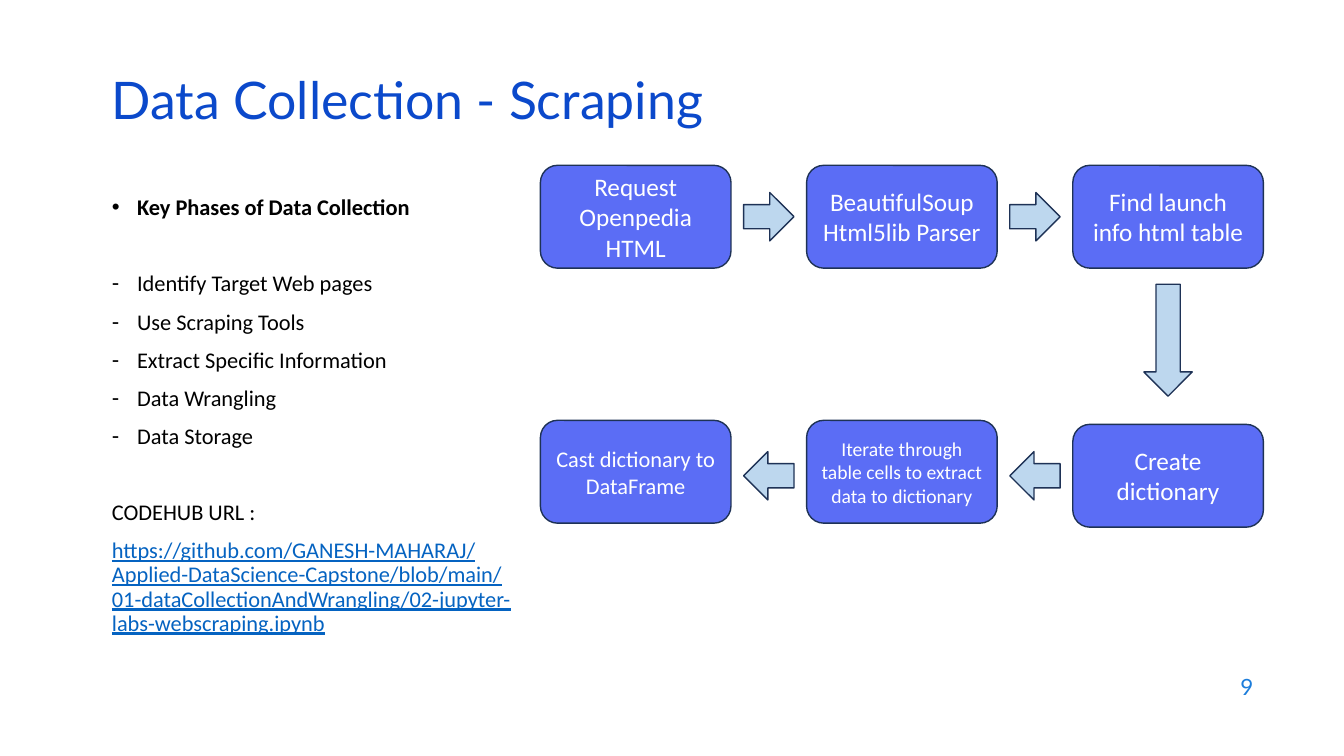
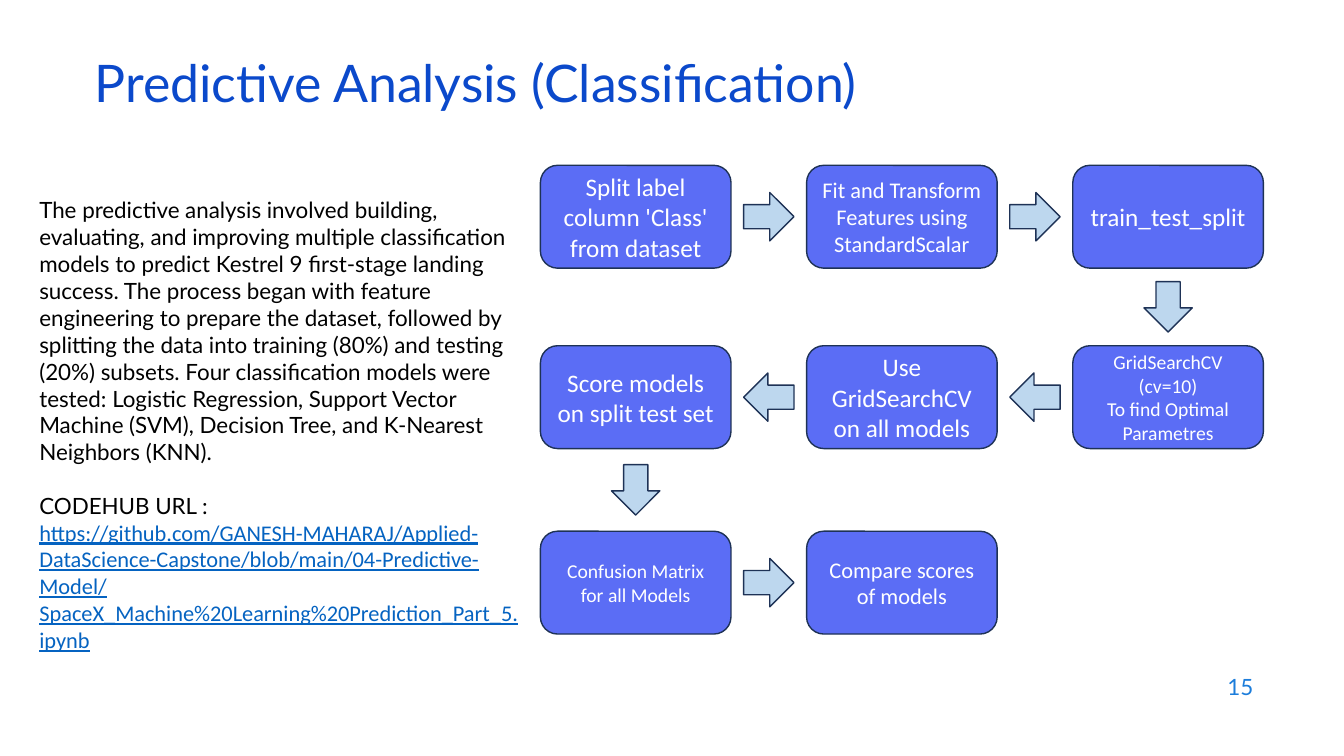
from dataclasses import dataclass

from lxml import etree
from pptx import Presentation
from pptx.dml.color import RGBColor
from pptx.enum.shapes import MSO_SHAPE
from pptx.enum.text import MSO_ANCHOR, MSO_AUTO_SIZE, PP_ALIGN
from pptx.oxml.ns import qn
from pptx.util import Inches, Pt

BOX, ARROW = MSO_SHAPE.ROUNDED_RECTANGLE, MSO_SHAPE.RIGHT_ARROW
MIDDLE, FIXED = MSO_ANCHOR.MIDDLE, MSO_AUTO_SIZE.NONE
LEFT, CENTER, RIGHT = PP_ALIGN.LEFT, PP_ALIGN.CENTER, PP_ALIGN.RIGHT

# Shared look
COLORS = {
    "title": "0B49CB", "number": "1C7DDB", "text": "000000", "link": "0563C1",
    "box": "5B6DF5", "arrow": "BDD7EE", "edge": "1E3256", "white": "FFFFFF",
}
HEAD, BODY = "Lato", "Calibri"

# Flow grid, in inches
GRID_X, PITCH = 5.36, 2.64
BOX_W, BOX_H = 1.89, 1.02
ARROW_W, ARROW_H = 0.5, 0.48
INDENT = 0.25
EAST, SOUTH, WEST = 0, 90, 180


@dataclass
class Item:
    text: str
    before: float = 0
    bullet: str = ""
    bold: bool = False
    link: bool = False
    face: str = BODY


@dataclass
class Step:
    col: int
    row: int
    text: str
    size: int = 18
    drop: float = 0


@dataclass
class Arrow:
    col: int
    row: int
    turn: int = EAST
    length: float = ARROW_W
    drop: float = 0


@dataclass
class Page:
    number: int
    title: str
    title_at: tuple[float, float]
    body_at: tuple[float, float, float, float]
    spacing: float
    items: list[Item]
    rows: list[float]
    steps: list[Step]
    arrows: list[Arrow]


PAGES = [
    Page(
        9, "Data Collection - Scraping", (1.01, 0.76), (1.01, 1.9, 4.3, 4.62), 0.9,
        [
            Item("Key Phases of Data Collection", bullet="•", bold=True),
            Item("Identify Target Web pages", 37, "-"),
            Item("Use Scraping Tools", 10, "-"),
            Item("Extract Specific Information", 10, "-"),
            Item("Data Wrangling", 10, "-"),
            Item("Data Storage", 10, "-"),
            Item("CODEHUB URL :", 37),
            Item("https://github.com/GANESH-MAHARAJ/Applied-DataScience-Capstone/blob/main/"
                 "01-dataCollectionAndWrangling/02-jupyter-labs-webscraping.ipynb",
                 10, link=True),
        ],
        [1.64, 4.17],
        [
            Step(0, 0, "Request Openpedia HTML"),
            Step(1, 0, "BeautifulSoup\nHtml5lib Parser"),
            Step(2, 0, "Find launch info html table"),
            Step(2, 1, "Create dictionary", drop=0.04),
            Step(1, 1, "Iterate through table cells to extract data to dictionary", 14),
            Step(0, 1, "Cast dictionary to DataFrame", 16),
        ],
        [
            Arrow(0, 0), Arrow(1, 0),
            Arrow(2, 0, SOUTH, 1.11, -0.04),
            Arrow(1, 1, WEST, drop=0.04), Arrow(0, 1, WEST, drop=0.04),
        ],
    ),
    Page(
        15, "Predictive Analysis (Classification)", (0.84, 0.59), (0.29, 1.9, 4.96, 4.9), 1.0,
        [
            Item("The predictive analysis involved building, evaluating, and improving "
                 "multiple classification models to predict Kestrel 9 first-stage landing "
                 "success. The process began with feature engineering to prepare the "
                 "dataset, followed by splitting the data into training (80%) and testing "
                 "(20%) subsets. Four classification models were tested: Logistic "
                 "Regression, Support Vector Machine (SVM), Decision Tree, and K-Nearest "
                 "Neighbors (KNN).", face=HEAD),
            Item("CODEHUB URL :", 19, face=HEAD),
            Item("https://github.com/GANESH-MAHARAJ/Applied-DataScience-Capstone/blob/main/"
                 "04-Predictive-Model/SpaceX_Machine%20Learning%20Prediction_Part_5.ipynb",
                 link=True),
        ],
        [1.64, 3.43, 5.27],
        [
            Step(0, 0, "Split label column 'Class' from dataset"),
            Step(1, 0, "Fit and Transform Features using StandardScalar", 16),
            Step(2, 0, "train_test_split"),
            Step(2, 1, "GridSearchCV\n(cv=10)\nTo find Optimal Parametres", 14),
            Step(1, 1, "Use GridSearchCV on all models"),
            Step(0, 1, "Score models on split test set"),
            Step(0, 2, "Confusion Matrix for all Models", 14),
            Step(1, 2, "Compare scores of models", 16),
        ],
        [
            Arrow(0, 0), Arrow(1, 0), Arrow(2, 0, SOUTH),
            Arrow(1, 1, WEST), Arrow(0, 1, WEST), Arrow(0, 1, SOUTH),
            Arrow(0, 2),
        ],
    ),
]


def style(para, face: str, size: float, color: str, align=LEFT) -> None:
    para.alignment = align
    font = para.font
    font.name, font.size = face, Pt(size)
    font.color.rgb = RGBColor.from_string(COLORS[color])


def place(shape, x: float, y: float, w: float, h: float) -> None:
    shape.left, shape.top = Inches(x), Inches(y)
    shape.width, shape.height = Inches(w), Inches(h)


def mark(para, bullet: str) -> None:
    """Set the bullet sign and hanging indent, or clear both."""
    props = para._p.get_or_add_pPr()
    hang = Inches(INDENT) if bullet else 0
    props.set("marL", str(hang))
    props.set("indent", str(-hang))
    if bullet:
        etree.SubElement(props, qn("a:buChar")).set("char", bullet)
    else:
        etree.SubElement(props, qn("a:buNone"))


def add_title(slide, page: Page) -> None:
    title = slide.shapes.title
    place(title, *page.title_at, 11.5, 0.6)
    frame = title.text_frame
    frame.text = page.title
    frame.auto_size, frame.vertical_anchor = FIXED, MIDDLE
    para = frame.paragraphs[0]
    para.line_spacing = 0.7
    style(para, HEAD, 37, "title")


def add_body(slide, page: Page) -> None:
    body = slide.placeholders[1]
    place(body, *page.body_at)
    frame = body.text_frame
    frame.text = "\n".join(item.text for item in page.items)
    frame.auto_size = FIXED
    for para, item in zip(frame.paragraphs, page.items):
        mark(para, item.bullet)
        para.line_spacing, para.space_before = page.spacing, Pt(item.before)
        style(para, item.face, 16, "link" if item.link else "text")
        para.font.bold, para.font.underline = item.bold, item.link


def add_number(slide, number: int) -> None:
    box = slide.shapes.add_textbox(Inches(9.53), Inches(6.59), Inches(3), Inches(0.44))
    frame = box.text_frame
    frame.text = str(number)
    frame.word_wrap, frame.vertical_anchor = True, MIDDLE
    style(frame.paragraphs[0], HEAD, 16, "number", RIGHT)


def add_form(slide, kind, x: float, y: float, w: float, h: float, fill: str):
    form = slide.shapes.add_shape(kind, Inches(x), Inches(y), Inches(w), Inches(h))
    form.shadow.inherit = False
    form.fill.solid()
    form.fill.fore_color.rgb = RGBColor.from_string(COLORS[fill])
    form.line.color.rgb = RGBColor.from_string(COLORS["edge"])
    form.line.width = Pt(1)
    return form


def add_step(slide, step: Step, rows: list[float]) -> None:
    box = add_form(slide, BOX, GRID_X + step.col * PITCH, rows[step.row] + step.drop,
                   BOX_W, BOX_H, "box")
    frame = box.text_frame
    frame.text = step.text
    frame.word_wrap, frame.vertical_anchor = True, MIDDLE
    for para in frame.paragraphs:
        style(para, BODY, step.size, "white", CENTER)


def add_arrow(slide, arrow: Arrow, rows: list[float]) -> None:
    """Centre an arrow in the gap to the right of its cell, or below it."""
    x = GRID_X + arrow.col * PITCH + BOX_W / 2
    y = rows[arrow.row] + BOX_H / 2 + arrow.drop
    if arrow.turn == SOUTH:
        y += (rows[arrow.row + 1] - rows[arrow.row]) / 2
    else:
        x += PITCH / 2
    form = add_form(slide, ARROW, x - arrow.length / 2, y - ARROW_H / 2,
                    arrow.length, ARROW_H, "arrow")
    form.rotation = arrow.turn


def main() -> None:
    deck = Presentation()
    deck.slide_width, deck.slide_height = Inches(13.33), Inches(7.5)
    for page in PAGES:
        slide = deck.slides.add_slide(deck.slide_layouts[1])
        add_number(slide, page.number)
        add_body(slide, page)
        add_title(slide, page)
        for step in page.steps:
            add_step(slide, step, page.rows)
        for arrow in page.arrows:
            add_arrow(slide, arrow, page.rows)
    deck.save("out.pptx")


if __name__ == "__main__":
    main()
